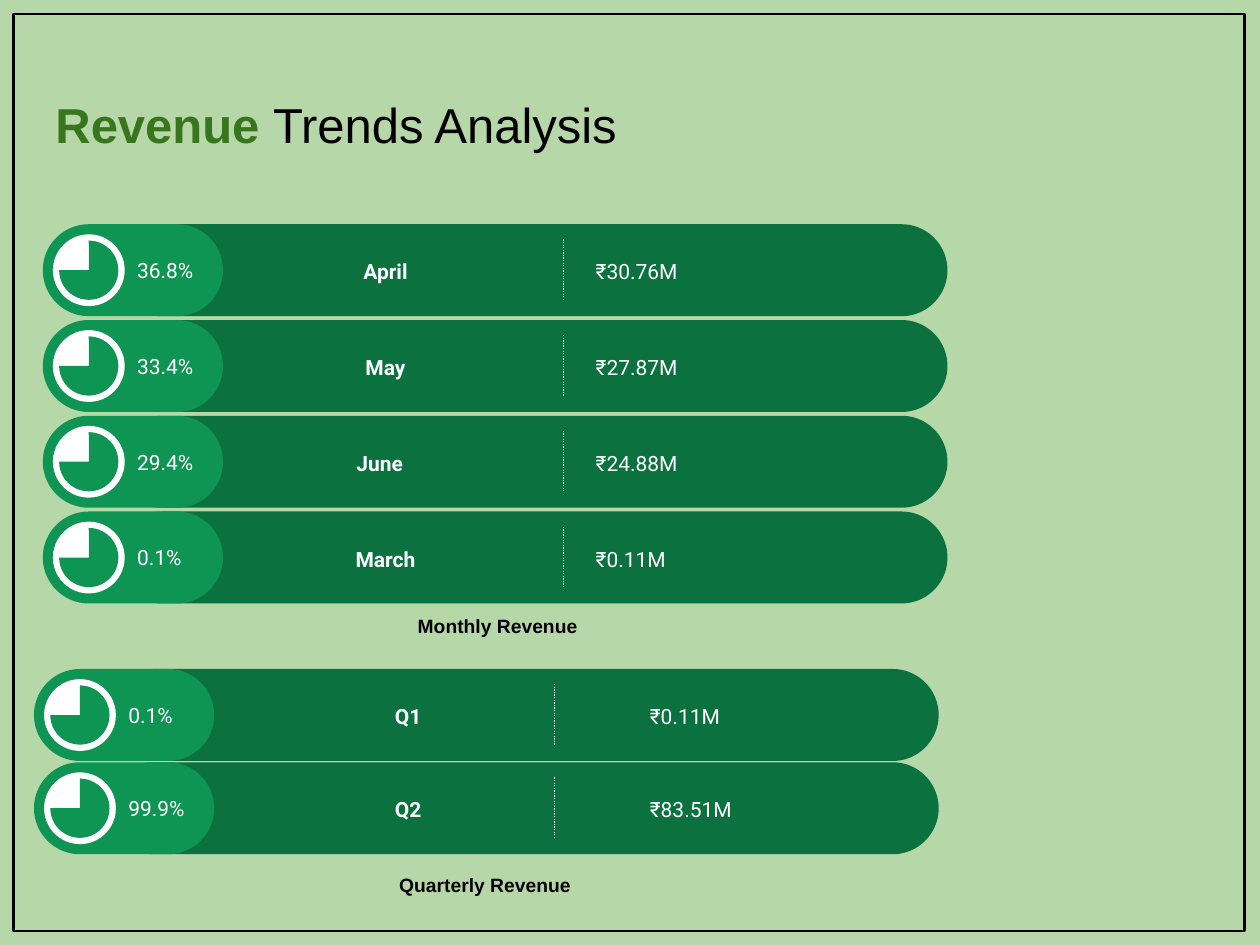
from lxml.etree import SubElement
from pptx import Presentation
from pptx.dml.color import RGBColor
from pptx.enum.dml import MSO_LINE
from pptx.enum.shapes import MSO_CONNECTOR, MSO_SHAPE
from pptx.enum.text import MSO_ANCHOR, PP_ALIGN
from pptx.oxml.ns import qn
from pptx.util import Pt

PX = 9144  # 100 px to the inch
PALE = RGBColor(0xB6, 0xD7, 0xA8)
LEAF = RGBColor(0x38, 0x76, 0x1D)
DARK = RGBColor(0x0B, 0x71, 0x3F)
GREEN = RGBColor(0x0E, 0x94, 0x53)
WHITE = RGBColor(0xFF, 0xFF, 0xFF)
BLACK = RGBColor(0, 0, 0)
LEFT, CENTER = PP_ALIGN.LEFT, PP_ALIGN.CENTER


def add_filled(shapes, preset, left, top, width, height, color):
    shape = shapes.add_shape(preset, left * PX, top * PX, width * PX, height * PX)
    shape.shadow.inherit = False
    shape.fill.solid()
    shape.fill.fore_color.rgb = color
    shape.line.fill.background()
    return shape


def add_label(shapes, left, top, width, height, text, font="Roboto", size=12, color=WHITE,
              bold=False, align=LEFT, indent=0, spacing=1.15, anchor=MSO_ANCHOR.MIDDLE):
    box = shapes.add_textbox(left * PX, top * PX, width * PX, height * PX)
    frame = box.text_frame
    frame.word_wrap = True
    frame.vertical_anchor = anchor
    frame.margin_left = frame.margin_right = frame.margin_top = frame.margin_bottom = 10 * PX
    para = frame.paragraphs[0]
    para.alignment = align
    para.line_spacing = spacing
    if indent:
        properties = para._p.get_or_add_pPr()
        properties.set("marL", str(indent * PX))
        properties.set("indent", "0")
    span = para.add_run()
    span.text = text
    span.font.name = font
    span.font.size = Pt(size)
    span.font.bold = bold
    span.font.color.rgb = color


deck = Presentation()
deck.slide_width, deck.slide_height = 1000 * PX, 750 * PX
page = deck.slides.add_slide(deck.slide_layouts[5])
page.background.fill.solid()
page.background.fill.fore_color.rgb = PALE

# Border, placed behind the title
border = add_filled(page.shapes, MSO_SHAPE.RECTANGLE, 11, 11, 977, 728, PALE)
border.line.color.rgb = BLACK
border.line.width = Pt(1.5)
page.shapes._spTree.insert(2, border._element)

title = page.shapes.title
title.left, title.top, title.width, title.height = 34 * PX, 65 * PX, 932 * PX, 83 * PX
heading = title.text_frame
heading.vertical_anchor = MSO_ANCHOR.TOP
heading.margin_left = heading.margin_right = 10 * PX
heading.margin_top = heading.margin_bottom = 10 * PX
para = heading.paragraphs[0]
para.alignment = LEFT
for text, color, bold in (("Revenue ", LEAF, True), ("Trends Analysis", BLACK, False)):
    span = para.add_run()
    span.text = text
    span.font.name = "Arial"
    span.font.size = Pt(28)
    span.font.bold = bold
    span.font.color.rgb = color

# Rows: share, period, revenue, alignment and indent of the period
MONTHS = [
    ("36.8%", "April", "₹30.76M", CENTER, 0),
    ("33.4%", "May", "₹27.87M", CENTER, 0),
    ("29.4%", "June", "₹24.88M", LEFT, 95),
    ("0.1%", "March", "₹0.11M", CENTER, 0),
]
QUARTERS = [
    ("0.1%", "Q1", "₹0.11M", CENTER, 50),
    ("99.9%", "Q2", "₹83.51M", CENTER, 50),
]

# Blocks: left, top, row pitch, indent of the revenue, rows
for left, first_top, pitch, revenue_indent, rows in (
    (34, 178, 76, 0, MONTHS),
    (27, 531, 74, 50, QUARTERS),
):
    for index, (share, period, revenue, align, indent) in enumerate(rows):
        top = first_top + index * pitch
        row = page.shapes.add_group_shape().shapes
        bar = add_filled(row, MSO_SHAPE.ROUNDED_RECTANGLE, left + 58, top, 660, 73, DARK)
        bar.adjustments[0] = 0.5
        add_label(row, left + 429, top, 256, 72, revenue, indent=revenue_indent)
        add_label(row, left + 144, top, 256, 72, period, bold=True, align=align, indent=indent)

        pill = add_filled(row, MSO_SHAPE.ROUNDED_RECTANGLE, left, top, 143, 73, GREEN)
        pill.adjustments[0] = 0.5
        add_filled(row, MSO_SHAPE.OVAL, left + 8, top + 8, 57, 57, WHITE)
        pie = add_filled(row, MSO_SHAPE.PIE, left + 13, top + 13, 47, 47, GREEN)
        pie.adjustments[0] = 270 * 0.6  # angles count in 60000ths of a degree
        pie.adjustments[1] = 180 * 0.6
        add_label(row, left + 65, top + 15, 67, 43, share, spacing=1)

        divider = row.add_connector(MSO_CONNECTOR.STRAIGHT, (left + 413) * PX, (top + 12) * PX,
                                    (left + 413) * PX, (top + 60) * PX)
        divider.line.color.rgb = WHITE
        divider.line.width = Pt(0.75)
        divider.line.dash_style = MSO_LINE.ROUND_DOT
        SubElement(divider._element.spPr, qn("a:effectLst"))

for left, top, caption in ((50, 475, "Monthly Revenue"), (40, 680, "Quarterly Revenue")):
    add_label(page.shapes, left, top, 690, 58, caption, "Arial", 11, BLACK, True, CENTER,
              anchor=MSO_ANCHOR.TOP)

deck.save("out.pptx")
